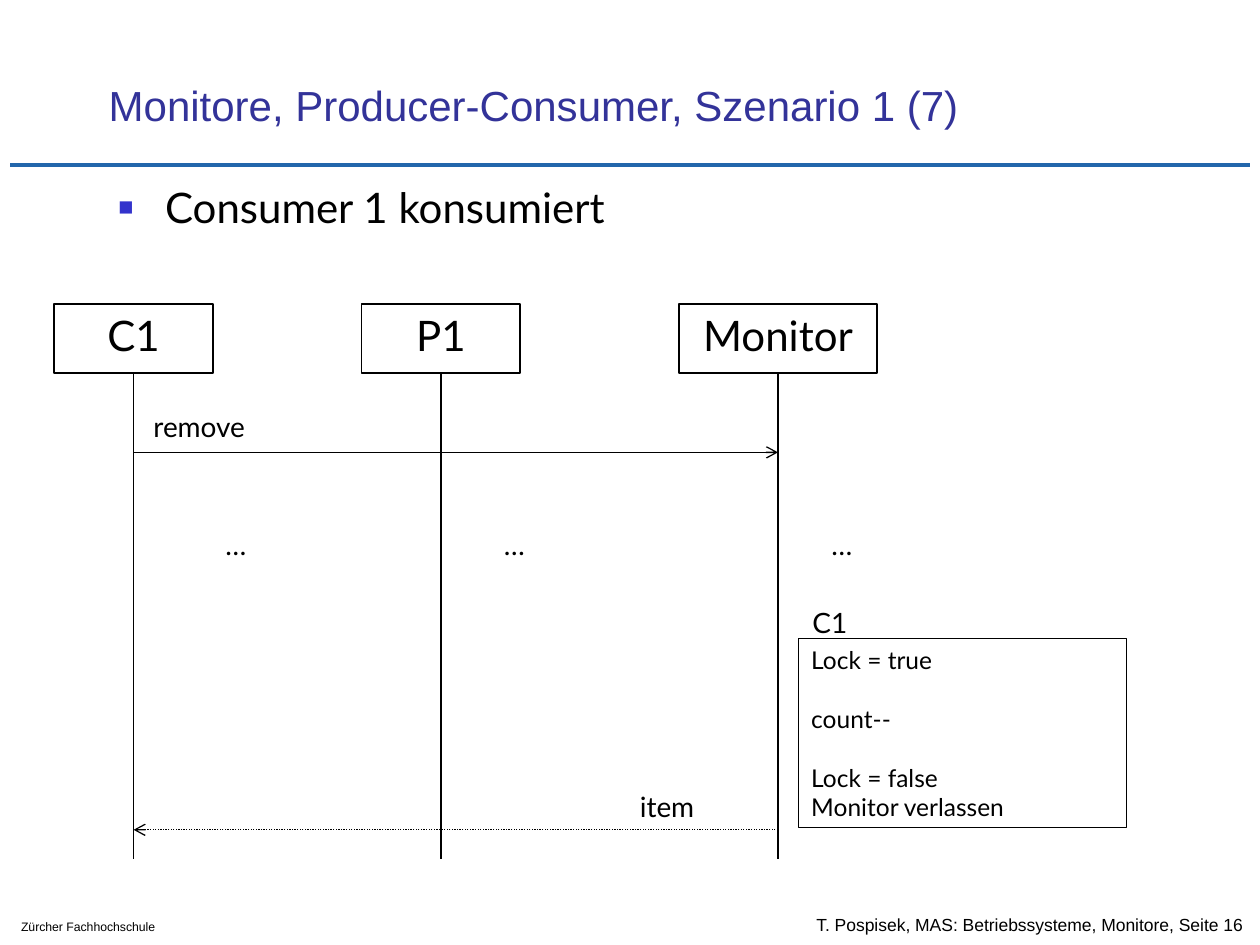
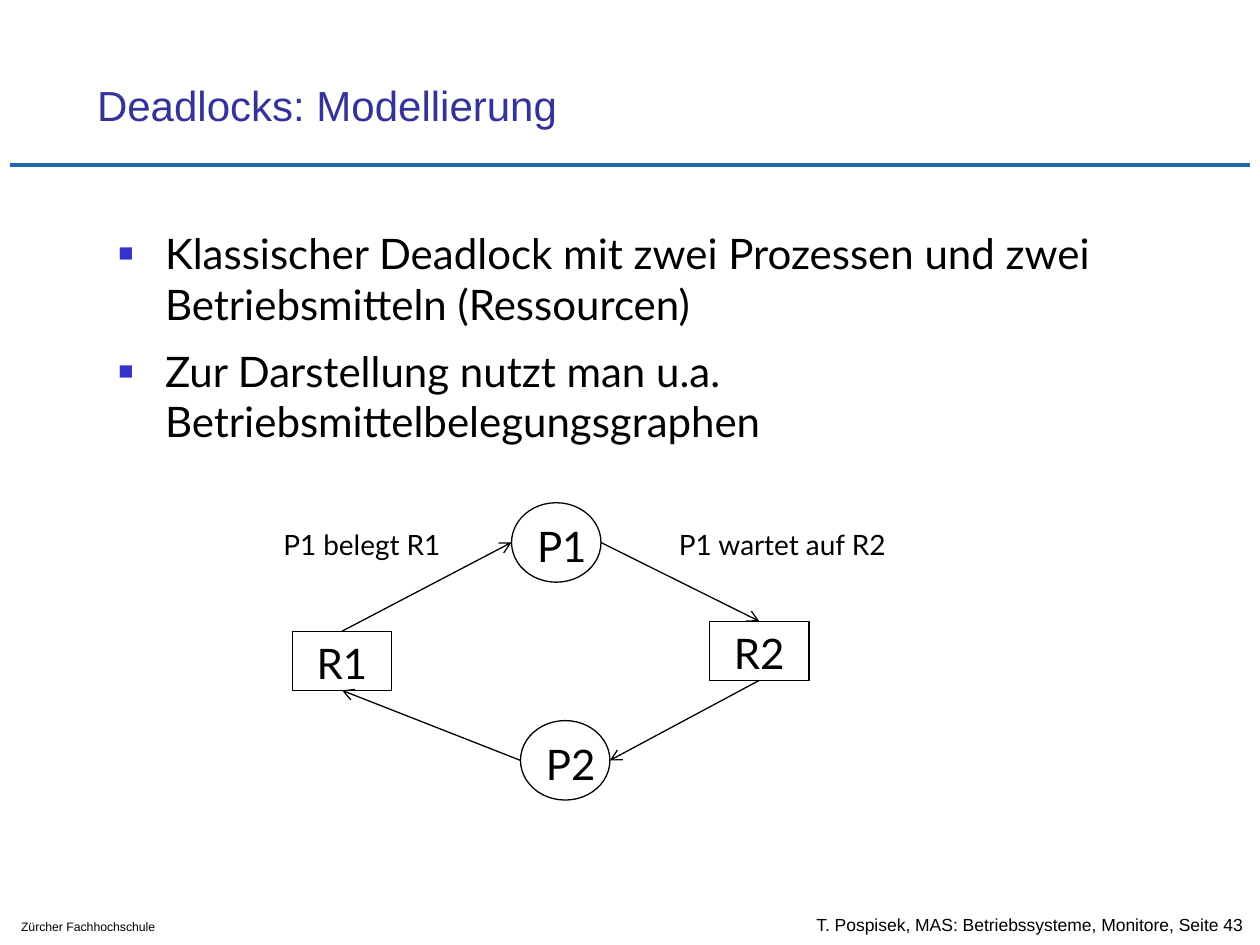
from dataclasses import dataclass

from lxml import etree
from pptx import Presentation
from pptx.dml.color import RGBColor
from pptx.enum.dml import MSO_LINE
from pptx.enum.shapes import MSO_CONNECTOR, MSO_SHAPE
from pptx.enum.text import MSO_ANCHOR, MSO_AUTO_SIZE, PP_ALIGN
from pptx.oxml.ns import qn
from pptx.util import Pt

RECTANGLE, ELLIPSE = MSO_SHAPE.RECTANGLE, MSO_SHAPE.OVAL
STRAIGHT = MSO_CONNECTOR.STRAIGHT
DOTTED = MSO_LINE.ROUND_DOT
TOP, MIDDLE, BOTTOM = MSO_ANCHOR.TOP, MSO_ANCHOR.MIDDLE, MSO_ANCHOR.BOTTOM
LEFT, CENTER = PP_ALIGN.LEFT, PP_ALIGN.CENTER
FIXED_SIZE = MSO_AUTO_SIZE.NONE


# Theme: colours, fonts, type sizes and line widths
@dataclass(frozen=True)
class Theme:
    ink: str = "000000"
    paper: str = "FFFFFF"
    title: str = "333399"
    bullet: str = "3333CC"
    rule: str = "2266AB"
    heading_font: str = "Arial"
    body_font: str = "Lato"
    large: int = 24
    label: int = 16
    code: int = 14
    footer: int = 10
    school: int = 7
    thin: float = 0.75
    medium: float = 1
    thick: float = 2.5


THEME = Theme()


@dataclass(frozen=True)
class Node:
    """A labelled shape, with the points where lines attach."""
    text: str
    left: float
    top: float
    width: float
    height: float
    kind: int = RECTANGLE
    align: int = CENTER
    border: float = THEME.thin

    @property
    def center_x(self) -> float:
        return self.left + self.width / 2

    @property
    def north(self) -> tuple:
        return self.center_x, self.top

    @property
    def south(self) -> tuple:
        return self.center_x, self.top + self.height

    @property
    def west(self) -> tuple:
        return self.left, self.top + self.height / 2

    @property
    def east(self) -> tuple:
        return self.left + self.width, self.top + self.height / 2


@dataclass(frozen=True)
class Label:
    text: str
    left: float
    top: float
    width: float
    height: float = 26.6


# Text helpers
def write(para, text: str, *, size: float = THEME.label, font: str = THEME.body_font,
          color: str = THEME.ink, align: int = LEFT, before: float = 0) -> None:
    para.alignment = align
    para.space_before = Pt(before)
    span = para.add_run()
    span.text = text
    span.font.name = font
    span.font.size = Pt(size)
    span.font.color.rgb = RGBColor.from_string(color)


def set_frame(frame, wrap: bool = True, anchor: int = TOP, right: float = 7.2) -> None:
    frame.auto_size = FIXED_SIZE
    frame.word_wrap = wrap
    frame.vertical_anchor = anchor
    frame.margin_left, frame.margin_right = Pt(7.2), Pt(right)
    frame.margin_top = frame.margin_bottom = Pt(3.6)


def place(box, left: float, top: float, width: float, height: float) -> None:
    box.left, box.top, box.width, box.height = map(Pt, (left, top, width, height))


def add_bullet(para) -> None:
    properties = para._p.get_or_add_pPr()
    properties.set("marL", str(Pt(27.36)))
    properties.set("indent", str(Pt(-26.64)))
    color = etree.SubElement(properties, qn("a:buClr"))
    etree.SubElement(color, qn("a:srgbClr"), val=THEME.bullet)
    etree.SubElement(properties, qn("a:buSzPct"), val="60000")
    etree.SubElement(properties, qn("a:buFont"), typeface=THEME.heading_font)
    etree.SubElement(properties, qn("a:buChar"), char="■")


# Drawing helpers
def add_label(page, label: Label, anchor: int = TOP, right: float = 7.2, **style) -> None:
    box = page.shapes.add_textbox(*map(Pt, (label.left, label.top, label.width, label.height)))
    set_frame(box.text_frame, anchor=anchor, right=right)
    write(box.text_frame.paragraphs[0], label.text, **style)


def add_box(page, kind: int, left: float, top: float, width: float, height: float,
            border: float = THEME.thin):
    box = page.shapes.add_shape(kind, *map(Pt, (left, top, width, height)))
    box.shadow.inherit = False
    box.fill.solid()
    box.fill.fore_color.rgb = RGBColor.from_string(THEME.paper)
    box.line.color.rgb = RGBColor.from_string(THEME.ink)
    box.line.width = Pt(border)
    return box


def add_node(page, node: Node) -> None:
    box = add_box(page, node.kind, node.left, node.top, node.width, node.height, node.border)
    set_frame(box.text_frame, wrap=False)
    write(box.text_frame.paragraphs[0], node.text, size=THEME.large, align=node.align)


def add_line(page, start: tuple, end: tuple, color: str = THEME.ink,
             width: float = THEME.thin, arrow: bool = False, dotted: bool = False) -> None:
    connector = page.shapes.add_connector(STRAIGHT, *map(Pt, (*start, *end)))
    connector.line.color.rgb = RGBColor.from_string(color)
    connector.line.width = Pt(width)
    if dotted:
        connector.line.dash_style = DOTTED
    if arrow:
        etree.SubElement(connector.line._get_or_add_ln(), qn("a:tailEnd"), type="arrow")
    etree.SubElement(connector._element.spPr, qn("a:effectLst"))


# Parts shared by all slides: rule, footers, title and bullet list
def add_page(deck, title: str, number: int, bullets: list, list_top: float,
             list_height: float, title_left: float = 48.24):
    page = deck.slides.add_slide(deck.slide_layouts[1])
    add_line(page, (5.76, 94.3), (714.24, 94.3), THEME.rule, THEME.thick)
    add_label(page, Label(f"T. Pospisek, MAS: Betriebssysteme, Monitore, Seite {number}",
                          459.4, 516, 260.6, 24),
              anchor=MIDDLE, right=0, size=THEME.footer, font=THEME.heading_font)
    add_label(page, Label("Zürcher Fachhochschule", 5, 522, 124, 16),
              size=THEME.school, font=THEME.heading_font)

    heading = page.shapes.title
    place(heading, title_left, 23.76, 613.4, 54)
    set_frame(heading.text_frame, anchor=BOTTOM)
    write(heading.text_frame.paragraphs[0], title, size=THEME.large,
          font=THEME.heading_font, color=THEME.title)

    body = page.placeholders[1]
    place(body, 59.76, list_top, 600, list_height)
    set_frame(body.text_frame)
    for index, text in enumerate(bullets):
        para = body.text_frame.add_paragraph() if index else body.text_frame.paragraphs[0]
        add_bullet(para)
        write(para, text, size=THEME.large, before=9.6 if index else 0)
    return page


# Slide: sequence diagram of the consumer scenario
def build_scenario(deck) -> None:
    page = add_page(deck, "Monitore, Producer-Consumer, Szenario 1 (7)", 16,
                    ["Consumer 1 konsumiert"], 100, 36, title_left=54.9)

    participants = [Node(name, left, 173.5, width, 39.6, border=THEME.medium)
                    for name, left, width in (("C1", 31, 90.7), ("P1", 206.6, 90.7),
                                              ("Monitor", 388.1, 113))]
    for participant in participants:
        add_node(page, participant)
        add_line(page, participant.south, (participant.center_x, 491), width=THEME.medium)

    consumer, monitor = participants[0].center_x, participants[-1].center_x
    add_line(page, (consumer, 258.5), (monitor, 258.5), arrow=True)
    add_line(page, (monitor, 474.2), (consumer, 474.2), arrow=True, dotted=True)

    # Monitor steps, with gaps of one line before some of them
    steps_box = add_box(page, RECTANGLE, 456.5, 365, 187.2, 108)
    set_frame(steps_box.text_frame)
    steps = (("Lock = true", 0), ("count--", 16.8), ("Lock = false", 16.8),
             ("Monitor verlassen", 0))
    for index, (step, gap) in enumerate(steps):
        frame = steps_box.text_frame
        para = frame.add_paragraph() if index else frame.paragraphs[0]
        write(para, step, size=THEME.code, before=gap)

    labels = [Label("remove", 80.6, 230.4, 70.6), Label("item", 358.6, 447.8, 48.2),
              Label("C1", 457.2, 342.7, 67.7)]
    labels += [Label("…", left, 298, 67.7) for left in (121.7, 280.8, 468)]
    for label in labels:
        add_label(page, label)


# Slide: resource allocation graph
def build_deadlock(deck) -> None:
    page = add_page(deck, "Deadlocks: Modellierung", 43,
                    ["Klassischer Deadlock mit zwei Prozessen und zwei "
                     "Betriebsmitteln (Ressourcen)",
                     "Zur Darstellung nutzt man u.a. Betriebsmittelbelegungsgraphen"],
                    126.5, 126.7)

    process_1, process_2 = [Node(name, left, top, 51.1, 45.4, ELLIPSE, LEFT)
                            for name, left, top in (("P1", 292.3, 287.3),
                                                    ("P2", 297.4, 411.8))]
    resource_1, resource_2 = [Node(name, left, top, 56.9, 33.8)
                              for name, left, top in (("R1", 167, 360.7),
                                                      ("R2", 405.4, 355))]
    for node in (process_1, process_2, resource_1, resource_2):
        add_node(page, node)

    for start, end in ((resource_1.north, process_1.west),
                       (process_1.east, resource_2.north),
                       (resource_2.south, process_2.east),
                       (process_2.west, resource_1.south)):
        add_line(page, start, end, arrow=True)

    for label in (Label("P1 belegt R1", 154.8, 298, 108),
                  Label("P1 wartet auf R2", 380.9, 298, 137.5)):
        add_label(page, label)


def main() -> None:
    deck = Presentation()
    deck.slide_width, deck.slide_height = Pt(720), Pt(540)
    build_scenario(deck)
    build_deadlock(deck)
    deck.save("out.pptx")


if __name__ == "__main__":
    main()
